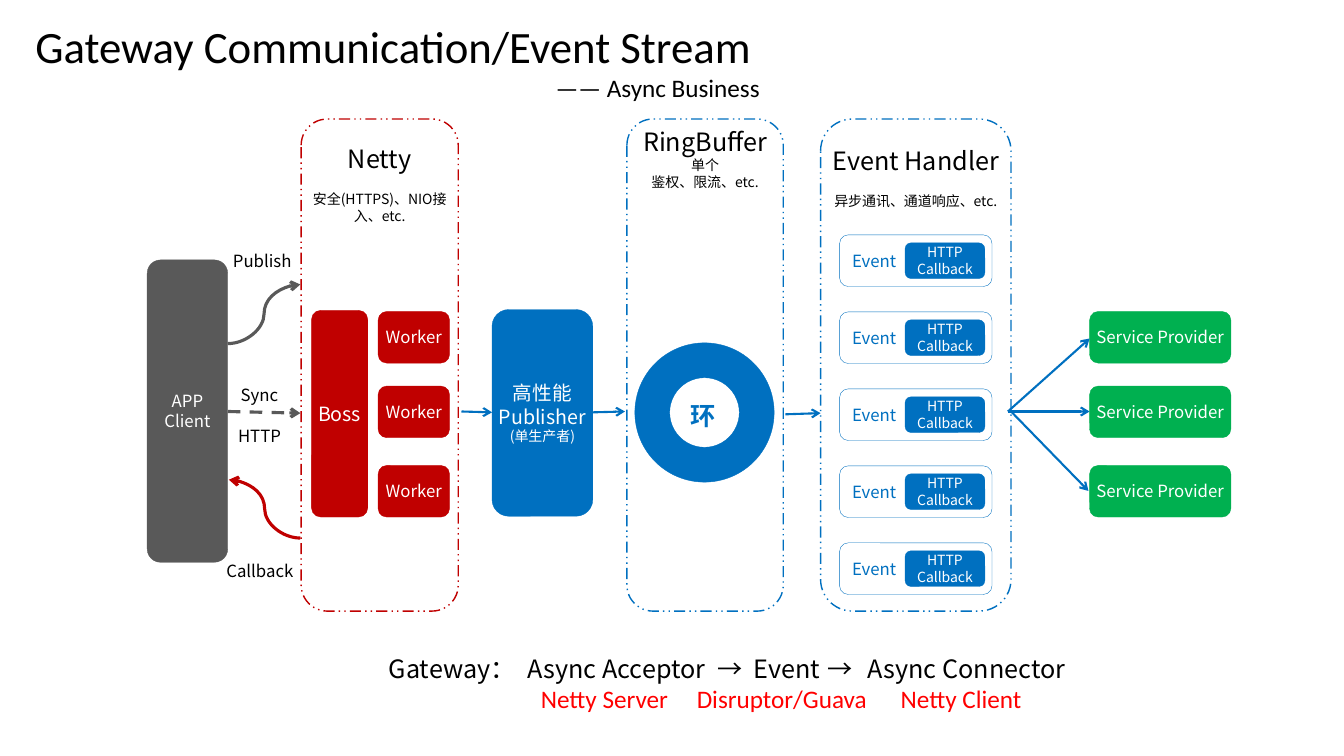
from dataclasses import dataclass
from typing import Optional

from lxml import etree
from pptx import Presentation
from pptx.dml.color import RGBColor
from pptx.enum.dml import MSO_LINE
from pptx.enum.shapes import MSO_CONNECTOR, MSO_SHAPE
from pptx.enum.text import MSO_ANCHOR, PP_ALIGN
from pptx.oxml.ns import qn
from pptx.util import Cm, Pt

ROUND, OVAL, DONUT = MSO_SHAPE.ROUNDED_RECTANGLE, MSO_SHAPE.OVAL, MSO_SHAPE.DONUT
STRAIGHT, CURVE = MSO_CONNECTOR.STRAIGHT, MSO_CONNECTOR.CURVE
LEFT, CENTER, RIGHT = PP_ALIGN.LEFT, PP_ALIGN.CENTER, PP_ALIGN.RIGHT
TOP, MIDDLE = MSO_ANCHOR.TOP, MSO_ANCHOR.MIDDLE
DASH, DASH_DOT_DOT = MSO_LINE.DASH, MSO_LINE.DASH_DOT_DOT

BLUE = RGBColor(0x00, 0x70, 0xC0)
CRIMSON = RGBColor(0xC0, 0x00, 0x00)
RED = RGBColor(0xFF, 0x00, 0x00)
GREEN = RGBColor(0x00, 0xB0, 0x50)
GRAY = RGBColor(0x59, 0x59, 0x59)
WHITE = RGBColor(0xFF, 0xFF, 0xFF)
BLACK = RGBColor(0x00, 0x00, 0x00)

SANS, CALIBRI = "Noto Sans CJK SC", "Calibri"
LEADING = 1.2


@dataclass
class Para:
    text: str
    size: float
    color: RGBColor = WHITE
    font: str = SANS
    align: PP_ALIGN = CENTER
    bold: bool = False
    before: float = 0
    tabs: tuple[float, ...] = ()


@dataclass
class Box:
    x: float
    y: float
    w: float
    h: float
    color: RGBColor
    paras: tuple[Para, ...] = ()
    fill: Optional[RGBColor] = None
    kind: MSO_SHAPE = ROUND
    inset: float = 0


@dataclass
class Panel:
    x: float
    w: float
    color: RGBColor
    title: str
    notes: tuple[str, ...]
    top: float = 0
    gap: float = 0


@dataclass
class Arrow:
    x1: float
    y1: float
    x2: float
    y2: float
    color: RGBColor = BLUE
    width: float = 1.5
    kind: MSO_CONNECTOR = STRAIGHT
    dashed: bool = False


def write(tf, paras: tuple[Para, ...], anchor=TOP, left: float = 0, top: float = 0) -> None:
    tf.word_wrap = True
    tf.vertical_anchor = anchor
    tf.margin_left, tf.margin_top = Cm(left), Cm(top)
    tf.margin_right = tf.margin_bottom = 0
    for i, para in enumerate(paras):
        p = tf.add_paragraph() if i else tf.paragraphs[0]
        p.text = para.text
        p.alignment = para.align
        p.line_spacing = Pt(para.size * LEADING)
        p.space_before = Pt(para.before)
        p.font.size, p.font.bold, p.font.name = Pt(para.size), para.bold, para.font
        p.font.color.rgb = para.color
        pPr = p._p.get_or_add_pPr()
        rPr = pPr.find(qn("a:defRPr"))
        etree.SubElement(rPr, qn("a:ea"), typeface=SANS)
        if para.tabs:
            tab_list = etree.Element(qn("a:tabLst"))
            for pos in para.tabs:
                etree.SubElement(tab_list, qn("a:tab"), pos=str(int(Cm(pos))), algn="l")
            rPr.addprevious(tab_list)


def add_box(s, box: Box) -> None:
    sp = s.shapes.add_shape(box.kind, Cm(box.x), Cm(box.y), Cm(box.w), Cm(box.h))
    sp.shadow.inherit = False
    sp.fill.solid()
    sp.fill.fore_color.rgb = box.color if box.fill is None else box.fill
    sp.line.color.rgb = box.color
    sp.line.width = Pt(0.25)
    if box.paras:
        write(sp.text_frame, box.paras, MIDDLE, box.inset)


def add_panel(s, panel: Panel) -> None:
    sp = s.shapes.add_shape(ROUND, Cm(panel.x), Cm(3), Cm(panel.w), Cm(12.4))
    sp.shadow.inherit = False
    sp.fill.background()
    sp.line.color.rgb = panel.color
    sp.line.width = Pt(1)
    sp.line.dash_style = DASH_DOT_DOT
    notes = tuple(Para(note, 10, BLACK, before=0 if i else panel.gap)
                  for i, note in enumerate(panel.notes))
    write(sp.text_frame, (Para(panel.title, 18, BLACK), *notes), top=panel.top)


def add_text(s, x: float, y: float, w: float, h: float, *paras: Para) -> None:
    write(s.shapes.add_textbox(Cm(x), Cm(y), Cm(w), Cm(h)).text_frame, paras)


def add_arrow(s, arrow: Arrow) -> None:
    c = s.shapes.add_connector(arrow.kind, Cm(arrow.x1), Cm(arrow.y1), Cm(arrow.x2), Cm(arrow.y2))
    c.line.color.rgb = arrow.color
    c.line.width = Pt(arrow.width)
    if arrow.dashed:
        c.line.dash_style = DASH
    sp_pr = c._element.spPr
    etree.SubElement(sp_pr.find(qn("a:ln")), qn("a:tailEnd"), type="arrow")
    etree.SubElement(sp_pr, qn("a:effectLst"))


PANELS = (
    Panel(7.59, 3.96, CRIMSON, "Netty", ("安全(HTTPS)、NIO接入、etc.",), 0.43, 12),
    Panel(15.8, 3.94, BLUE, "RingBuffer", ("单个", "鉴权、限流、etc.")),
    Panel(20.68, 4.8, BLUE, "Event Handler", ("异步通讯、通道响应、etc.",), 0.43, 12),
)
BOXES = (
    Box(3.71, 6.55, 2.03, 7.62, GRAY, (Para("APP", 12), Para("Client", 12))),
    Box(7.85, 7.82, 1.42, 5.21, CRIMSON, (Para("Boss", 14),)),
    Box(12.4, 7.8, 2.54, 5.21, BLUE,
        (Para("高性能", 14), Para("Publisher", 14), Para("(单生产者)", 10))),
    Box(16.81, 9.58, 1.8, 1.8, WHITE, (Para("环", 18, BLUE, bold=True),), kind=OVAL),
    Box(16, 8.64, 3.51, 3.51, BLUE, kind=DONUT),
)
ROWS = (7.85, 9.73, 11.73)
EVENT_TOP, EVENT_PITCH, EVENT_COUNT = 5.92, 1.94, 5
ARROWS = (
    Arrow(11.63, 10.37, 12.4, 10.39),
    Arrow(14.94, 10.39, 15.75, 10.37),
    Arrow(19.79, 10.44, 20.68, 10.41),
    Arrow(25.4, 10.37, 27.46, 8.53),
    Arrow(25.4, 10.37, 27.46, 10.37),
    Arrow(25.48, 10.37, 27.43, 12.37),
    Arrow(5.74, 10.37, 7.57, 10.41, GRAY, 2.25, dashed=True),
    Arrow(5.74, 8.66, 7.57, 7.17, GRAY, 2.25, CURVE),
    Arrow(7.57, 13.56, 5.77, 12.09, CRIMSON, 2.25, CURVE),
)


def main() -> None:
    prs = Presentation()
    prs.slide_width, prs.slide_height = Cm(33.87), Cm(19.05)
    s = prs.slides.add_slide(prs.slide_layouts[6])

    # Stages of the gateway
    for panel in PANELS:
        add_panel(s, panel)
    for box in BOXES:
        add_box(s, box)
    for y in ROWS:
        add_box(s, Box(9.53, y, 1.8, 1.3, CRIMSON, (Para("Worker", 12),)))
        add_box(s, Box(27.46, y, 3.56, 1.3, GREEN, (Para("Service Provider", 12),)))

    # Events with their callbacks
    for i in range(EVENT_COUNT):
        y = EVENT_TOP + i * EVENT_PITCH
        add_box(s, Box(21.16, y, 3.84, 1.3, BLUE, (Para("Event", 12, BLUE, align=LEFT),),
                       fill=WHITE, inset=0.25))
        add_box(s, Box(22.81, y + 0.2, 2.01, 0.9, BLUE, (Para("HTTP", 10), Para("Callback", 10))))

    # Flow and its labels
    for arrow in ARROWS:
        add_arrow(s, arrow)
    add_text(s, 5.61, 6.32, 2, 0.51, Para("Publish", 12, BLACK))
    add_text(s, 5.5, 14.12, 2.1, 0.51, Para("Callback", 12, BLACK))
    add_text(s, 5.74, 9.7, 1.6, 1.55, Para("Sync", 12, BLACK), Para("HTTP", 12, BLACK, before=14.4))

    # Title and summary
    add_text(s, 0.89, 0.48, 18.26, 2.15,
             Para("Gateway Communication/Event Stream", 32, BLACK, CALIBRI, LEFT),
             Para("—— Async Business", 18, BLACK, CALIBRI, RIGHT))
    add_text(s, 9.8, 16.46, 17.8, 1.55,
             Para("Gateway：\tAsync Acceptor\t→\tEvent\t→\tAsync Connector", 18, BLACK, SANS, LEFT,
                  tabs=(3.5, 8.29, 9.2, 11.06, 12.07)),
             Para("\tNetty Server\tDisruptor/Guava\tNetty Client", 18, RED, CALIBRI, LEFT,
                  tabs=(3.83, 7.76, 12.9)))
    prs.save("out.pptx")


if __name__ == "__main__":
    main()
